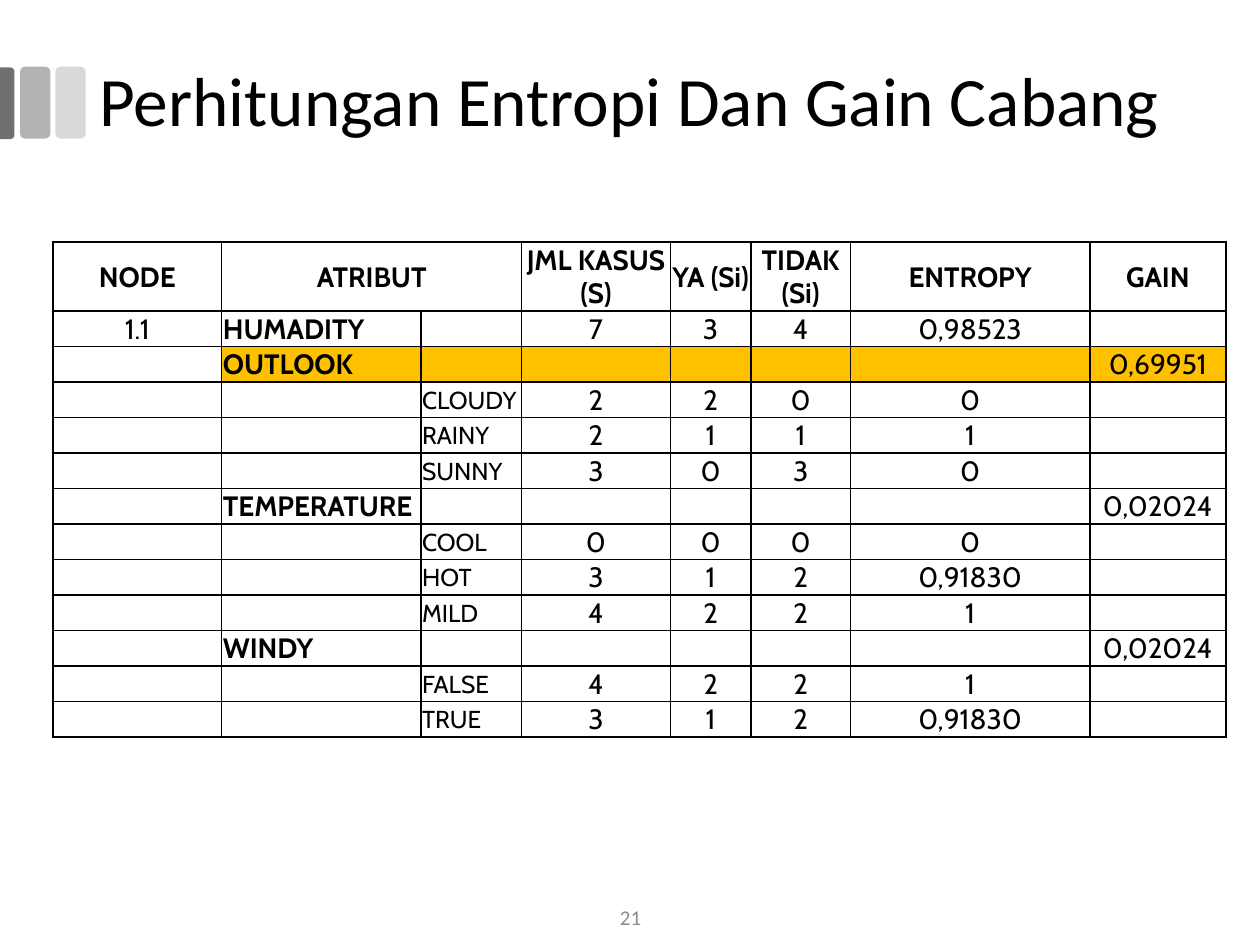
import dataclasses

import lxml.etree
import pptx
import pptx.dml.color
import pptx.enum.shapes
import pptx.enum.text
import pptx.oxml.ns
import pptx.util

Inches = pptx.util.Inches
Align = pptx.enum.text.PP_ALIGN
Middle = pptx.enum.text.MSO_ANCHOR.MIDDLE
Shape = pptx.enum.shapes.MSO_SHAPE


@dataclasses.dataclass(frozen=True)
class Theme:
    ink: str = "000000"
    paper: str = "FFFFFF"
    highlight: str = "FFC000"
    muted: str = "8C8C8C"
    bars: tuple = ("707070", "B3B3B3", "D9D9D9")
    title_font: str = "Calibri"
    table_font: str = "Cabin"
    title_size: float = 39.6
    table_size: int = 16
    value_size: int = 14
    number_size: int = 12


THEME = Theme()
COLUMN_WIDTHS = (1.34, 1.58, 0.8, 1.18, 0.64, 0.79, 1.9, 1.08)
HEADER_HEIGHT, ROW_HEIGHT = 0.54, 0.28
ATTRIBUTE, VALUE = 1, 2
HIGHLIGHTED = "OUTLOOK"
HEADERS = ("NODE", "ATRIBUT", "", "JML KASUS (S)", "YA (Si)", "TIDAK (Si)", "ENTROPY", "GAIN")
ROWS = (
    ("1.1", "HUMADITY", "", "7", "3", "4", "0,98523", ""),
    ("", "OUTLOOK", "", "", "", "", "", "0,69951"),
    ("", "", "CLOUDY", "2", "2", "0", "0", ""),
    ("", "", "RAINY", "2", "1", "1", "1", ""),
    ("", "", "SUNNY", "3", "0", "3", "0", ""),
    ("", "TEMPERATURE", "", "", "", "", "", "0,02024"),
    ("", "", "COOL", "0", "0", "0", "0", ""),
    ("", "", "HOT", "3", "1", "2", "0,91830", ""),
    ("", "", "MILD", "4", "2", "2", "1", ""),
    ("", "WINDY", "", "", "", "", "", "0,02024"),
    ("", "", "FALSE", "4", "2", "2", "1", ""),
    ("", "", "TRUE", "3", "1", "2", "0,91830", ""),
)


def rgb(value):
    return pptx.dml.color.RGBColor.from_string(value)


def format_text(paragraph, font, size, color, bold=False, align=Align.LEFT):
    paragraph.alignment = align
    for span in paragraph.runs:
        span.font.name = font
        span.font.size = pptx.util.Pt(size)
        span.font.color.rgb = rgb(color)
        span.font.bold = bold


def add_bar(page, kind, left, top, width, height, color):
    bar = page.shapes.add_shape(kind, Inches(left), Inches(top), Inches(width), Inches(height))
    bar.shadow.inherit = False
    bar.fill.solid()
    bar.fill.fore_color.rgb = rgb(color)
    bar.line.fill.background()
    return bar


def add_side_bars(page):
    dark, medium, light = THEME.bars
    add_bar(page, Shape.ROUNDED_RECTANGLE, 0.44, 0.53, 0.24, 0.57, light)
    add_bar(page, Shape.ROUNDED_RECTANGLE, 0.16, 0.53, 0.24, 0.57, medium)
    edge = add_bar(page, Shape.ROUND_2_SAME_RECTANGLE, -0.23, 0.76, 0.57, 0.12, dark)
    edge.rotation = 90
    edge.adjustments[0] = 0.29


def set_title(page, text):
    title = page.shapes.title
    title.left, title.top = Inches(0.69), Inches(0.17)
    title.width, title.height = Inches(8.62), Inches(1.31)
    frame = title.text_frame
    frame.text = text
    frame.auto_size = pptx.enum.text.MSO_AUTO_SIZE.NONE
    frame.vertical_anchor = Middle
    paragraph = frame.paragraphs[0]
    paragraph.line_spacing = 0.9
    format_text(paragraph, THEME.title_font, THEME.title_size, THEME.ink)


def add_borders(cell):
    properties = cell._tc.get_or_add_tcPr()
    qn = pptx.oxml.ns.qn
    for side in ("a:lnL", "a:lnR", "a:lnT", "a:lnB"):
        line = lxml.etree.SubElement(properties, qn(side), w=str(pptx.util.Pt(1)))
        fill = lxml.etree.SubElement(line, qn("a:solidFill"))
        lxml.etree.SubElement(fill, qn("a:srgbClr"), val=THEME.ink)


def fill_cell(cell, text, color, size, bold, align):
    add_borders(cell)
    cell.fill.solid()
    cell.fill.fore_color.rgb = rgb(color)
    cell.vertical_anchor = Middle
    cell.margin_left = cell.margin_right = cell.margin_top = Inches(0.01)
    cell.margin_bottom = 0
    cell.text_frame.text = text
    paragraph = cell.text_frame.paragraphs[0]
    format_text(paragraph, THEME.table_font, size, THEME.ink, bold, align)
    if not text:
        paragraph._p.get_or_add_endParaRPr().set("sz", str(size * 100))


def add_gain_table(page):
    height = HEADER_HEIGHT + ROW_HEIGHT * len(ROWS)
    frame = page.shapes.add_table(
        len(ROWS) + 1, len(HEADERS), Inches(0.42), Inches(1.92),
        Inches(sum(COLUMN_WIDTHS)), Inches(height))
    table = frame.table
    table.first_row = table.horz_banding = False
    for column, width in zip(table.columns, COLUMN_WIDTHS):
        column.width = Inches(width)
    for row in table.rows:
        row.height = Inches(ROW_HEIGHT)
    table.rows[0].height = Inches(HEADER_HEIGHT)
    for row_index, texts in enumerate((HEADERS, *ROWS)):
        header = row_index == 0
        for column_index, text in enumerate(texts):
            label = not header and column_index in (ATTRIBUTE, VALUE)
            marked = texts[ATTRIBUTE] == HIGHLIGHTED and column_index >= ATTRIBUTE
            fill_cell(
                table.cell(row_index, column_index), text,
                THEME.highlight if marked else THEME.paper,
                THEME.value_size if label and column_index == VALUE else THEME.table_size,
                header or column_index == ATTRIBUTE,
                Align.LEFT if label else Align.CENTER)
    table.cell(0, ATTRIBUTE).merge(table.cell(0, VALUE))


def add_page_number(page, text):
    box = page.shapes.add_textbox(Inches(3.88), Inches(7.08), Inches(2.25), Inches(0.4))
    frame = box.text_frame
    frame.word_wrap = True
    frame.vertical_anchor = Middle
    frame.text = text
    format_text(frame.paragraphs[0], THEME.title_font, THEME.number_size, THEME.muted,
                align=Align.CENTER)


def main():
    deck = pptx.Presentation()
    deck.slide_width, deck.slide_height = Inches(10), Inches(7.5)
    page = deck.slides.add_slide(deck.slide_layouts[5])
    add_side_bars(page)
    set_title(page, "Perhitungan Entropi Dan Gain Cabang")
    add_gain_table(page)
    add_page_number(page, "21")
    deck.save("out.pptx")


if __name__ == "__main__":
    main()
